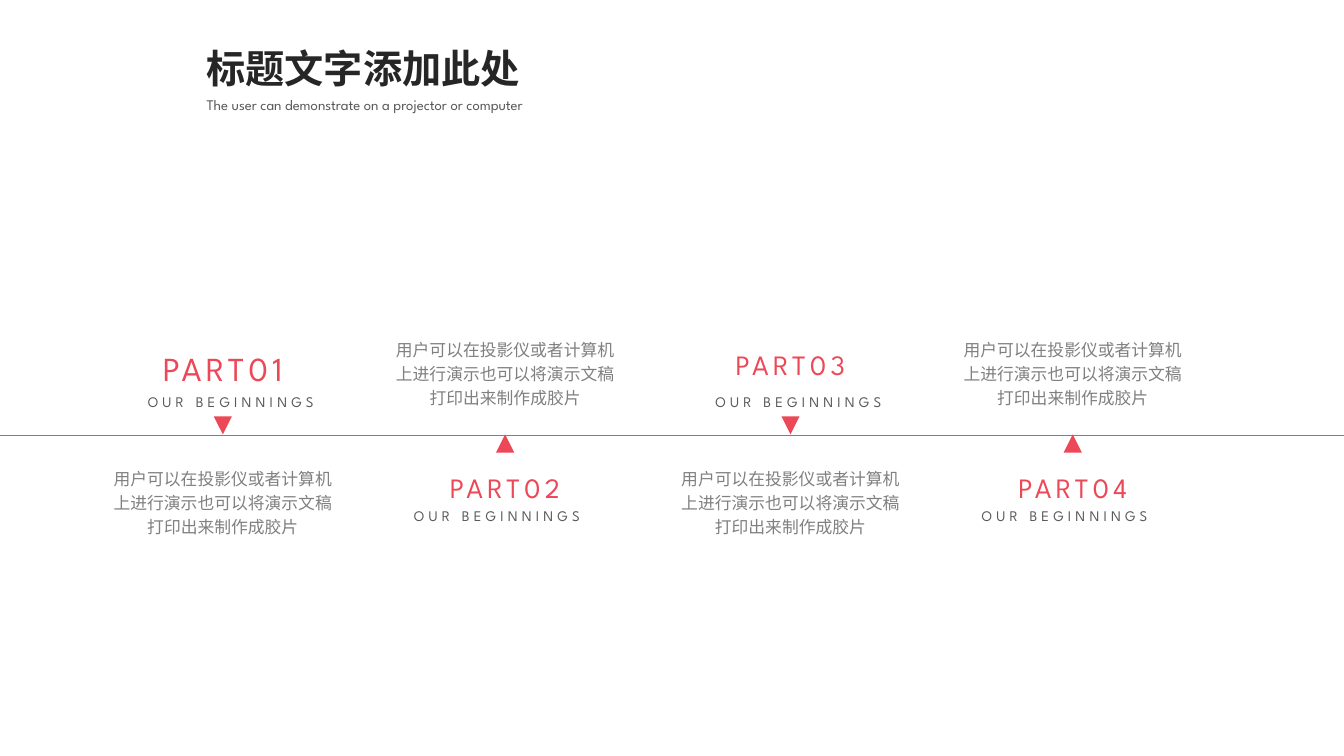
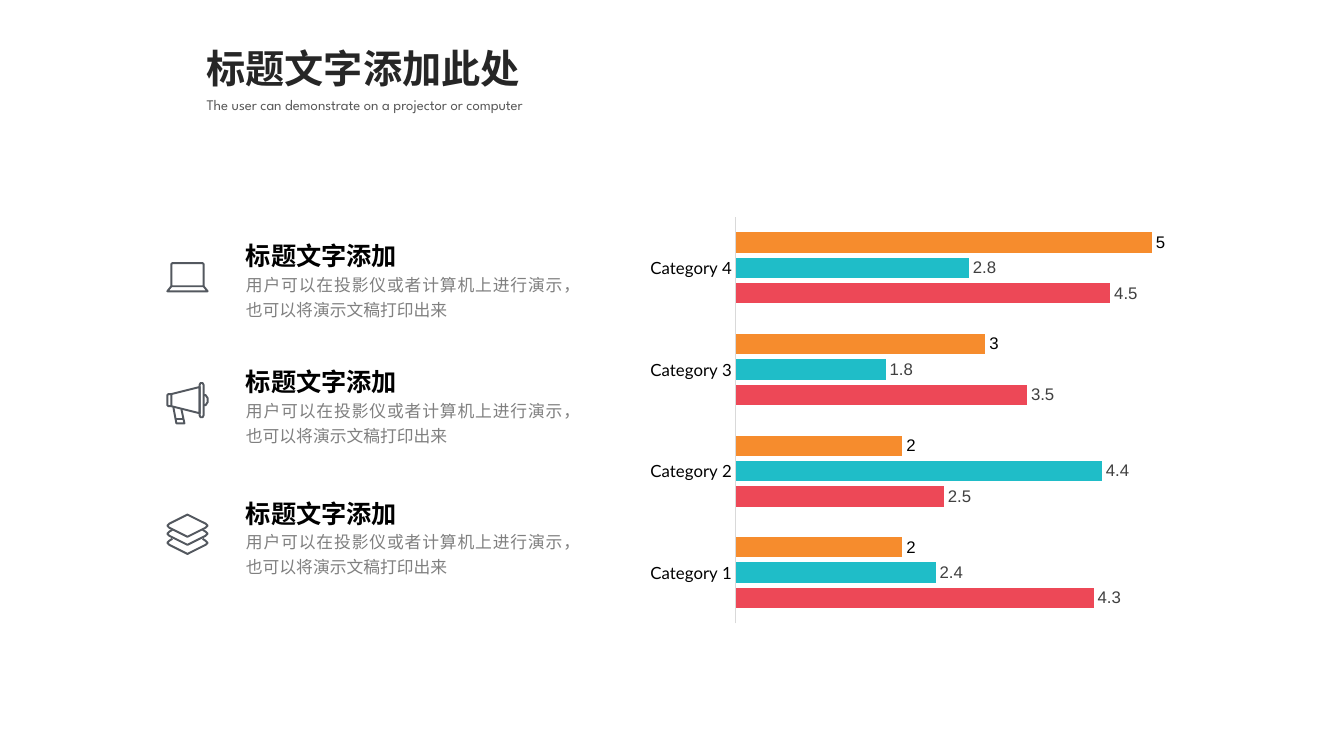
import pptx
import pptx.chart.data
import pptx.dml.color
import pptx.enum.chart
import pptx.enum.shapes
import pptx.enum.text
import pptx.oxml
import pptx.oxml.ns
import pptx.util

Inches = pptx.util.Inches
Pt = pptx.util.Pt
RGBColor = pptx.dml.color.RGBColor
MSO_SHAPE = pptx.enum.shapes.MSO_SHAPE
PP_ALIGN = pptx.enum.text.PP_ALIGN

RED = RGBColor(0xED, 0x48, 0x57)
TEAL = RGBColor(0x1F, 0xBD, 0xC8)
ORANGE = RGBColor(0xF6, 0x8C, 0x2D)
BLACK = RGBColor(0, 0, 0)
INK = RGBColor(0x26, 0x26, 0x26)
CHARCOAL = RGBColor(0x40, 0x40, 0x40)
SLATE = RGBColor(0x53, 0x58, 0x5F)
DARK_GRAY = RGBColor(0x59, 0x59, 0x59)
GRAY = RGBColor(0x80, 0x80, 0x80)
LIGHT_GRAY = RGBColor(0xD9, 0xD9, 0xD9)

SANS = "Arial"
DISPLAY = "League Spartan"
AXIS_FONT = "Lato"
SLIDE_W, SLIDE_H = 13.33, 7.5

TITLE = "标题文字添加此处"
SUBTITLE = "The user can demonstrate on a projector or computer"
PART_CAPTION = "OUR BEGINNINGS"
PART_TEXT = "用户可以在投影仪或者计算机上进行演示也可以将演示文稿打印出来制作成胶片"
ITEM_TITLE = "标题文字添加"
ITEM_TEXT = "用户可以在投影仪或者计算机上进行演示，也可以将演示文稿打印出来"

# Icon strokes in hundredths of an inch: (points, closed)
LAPTOP = [
    ([(5, 24), (5, 2), (6, 1), (36, 1), (37, 2), (37, 24)], True),
    ([(5, 24), (1, 29), (41, 29), (37, 24)], False),
]
MEGAPHONE = [
    ([(1, 13), (2, 12), (5, 12), (5, 24), (2, 24), (1, 23)], True),
    ([(5, 12), (33, 5), (33, 31), (5, 24)], False),
    ([(33, 3), (34, 1), (36, 1), (37, 3), (37, 33), (36, 35), (34, 35), (33, 33)], True),
    ([(37, 13), (39, 13), (41, 16), (41, 20), (39, 23), (37, 23)], False),
    ([(7, 25), (10, 41), (18, 41), (15, 27)], False),
    ([(10, 37), (17, 37)], False),
]
LAYERS = [
    ([(1, 12), (3, 10), (21, 1), (39, 10), (41, 12), (39, 14), (21, 23), (3, 14)], True),
] + [
    ([(6, y - 4), (3, y - 2), (1, y), (3, y + 2), (21, y + 11),
      (39, y + 2), (41, y), (39, y - 2), (36, y - 4)], False)
    for y in (20, 29)
]


def add_text(s, text, x, y, w, h, size, color, font=SANS, bold=False,
             align=PP_ALIGN.LEFT, line_spacing=None, tracking=0, wrap=True):
    """Add a one-run text box; tracking is letter spacing in points."""
    sp = s.shapes.add_textbox(Inches(x), Inches(y), Inches(w), Inches(h))
    tf = sp.text_frame
    tf.word_wrap = wrap
    tf.auto_size = pptx.enum.text.MSO_AUTO_SIZE.SHAPE_TO_FIT_TEXT
    p = tf.paragraphs[0]
    p.alignment = align
    if line_spacing:
        p.line_spacing = line_spacing
    r = p.add_run()
    r.text = text
    r.font.name = font
    r.font.size = Pt(size)
    r.font.bold = bold
    r.font.color.rgb = color
    if tracking:
        r.font._element.set("spc", str(tracking * 100))


def add_titled_slide(prs):
    s = prs.slides.add_slide(prs.slide_layouts[6])
    add_text(s, SUBTITLE, 1.95, 0.9, 4.12, 0.28, 10.5, DARK_GRAY, DISPLAY)
    add_text(s, TITLE, 1.95, 0.39, 3.34, 0.57, 28, INK, bold=True, wrap=False)
    return s


def add_timeline_axis(s, y):
    line = s.shapes.add_connector(pptx.enum.shapes.MSO_CONNECTOR.STRAIGHT,
                                  0, Inches(y), Inches(SLIDE_W), Inches(y))
    line.line.color.rgb = GRAY
    line.line.width = Pt(0.5)
    line._element.spPr.append(pptx.oxml.parse_xml(
        "<a:effectLst %s/>" % pptx.oxml.ns.nsdecls("a")))


def add_marker(s, center, y, points_down):
    side = 0.18
    sp = s.shapes.add_shape(MSO_SHAPE.ISOSCELES_TRIANGLE, Inches(center - side / 2),
                            Inches(y), Inches(side), Inches(side))
    sp.shadow.inherit = False
    sp.fill.solid()
    sp.fill.fore_color.rgb = RED
    sp.line.fill.background()
    sp.rotation = 180 if points_down else 0


def add_part(s, label, center, size, above):
    """Add one timeline part, its heading above or below the axis."""
    if above:
        marker_y, label_y, caption_y, text_y, shift = 4.13, 3.4, 3.85, 4.56, 0.08
    else:
        marker_y, label_y, caption_y, text_y, shift = 4.31, 4.62, 4.98, 3.28, -0.08
    label_w, caption_w, text_w = 1.43, 2.03, 2.42
    heading = dict(font=DISPLAY, align=PP_ALIGN.CENTER, tracking=3, wrap=False)
    add_marker(s, center, marker_y, above)
    add_text(s, label, center - label_w / 2, label_y, label_w, 0.44, size, RED, **heading)
    add_text(s, PART_CAPTION, center + shift - caption_w / 2, caption_y, caption_w, 0.28,
             10.5, DARK_GRAY, **heading)
    add_text(s, PART_TEXT, center - text_w / 2, text_y, text_w, 0.83, 12, GRAY,
             align=PP_ALIGN.CENTER, line_spacing=1.2)


def add_icon(s, strokes, x, middle):
    """Draw all strokes as one outline, centred vertically on middle."""
    height = max(y for points, _ in strokes for _, y in points) + 1
    builder = None
    for points, closed in strokes:
        if builder is None:
            builder = s.shapes.build_freeform(*points[0], scale=Inches(0.01))
        else:
            builder.move_to(*points[0])
        builder.add_line_segments(points[1:], close=closed)
    sp = builder.convert_to_shape(Inches(x), Inches(middle - height / 200))
    sp.shadow.inherit = False
    sp.fill.background()
    sp.line.color.rgb = SLATE
    sp.line.width = Pt(1.4)


def add_item(s, icon, y):
    style = dict(align=PP_ALIGN.JUSTIFY, line_spacing=1.2)
    add_icon(s, icon, 1.65, y + 0.47)
    add_text(s, ITEM_TEXT, 2.34, y + 0.36, 3.35, 0.59, 12, GRAY, **style)
    add_text(s, ITEM_TITLE, 2.34, y, 2.28, 0.47, 18, BLACK, bold=True, **style)


def set_font(font, size, color, name):
    font.size = Pt(size)
    font.color.rgb = color
    font.name = name


def add_bar_chart(s):
    data = pptx.chart.data.CategoryChartData()
    data.categories = ["Category 1", "Category 2", "Category 3", "Category 4"]
    data.add_series("Series 1", (4.3, 2.5, 3.5, 4.5))
    data.add_series("Series 2", (2.4, 4.4, 1.8, 2.8))
    data.add_series("Series 3", (2, 2, 3, 5))
    chart = s.shapes.add_chart(pptx.enum.chart.XL_CHART_TYPE.BAR_CLUSTERED, Inches(6.33),
                               Inches(2.07), Inches(6.04), Inches(4.2), data).chart
    chart.has_legend = False
    chart.has_title = False
    set_font(chart.font, 10, BLACK, SANS)

    axis = chart.category_axis
    axis.major_tick_mark = axis.minor_tick_mark = pptx.enum.chart.XL_TICK_MARK.NONE
    axis.format.line.color.rgb = LIGHT_GRAY
    axis.format.line.width = Pt(0.75)
    set_font(axis.tick_labels.font, 12, BLACK, AXIS_FONT)

    values = chart.value_axis
    values.visible = False
    values.has_major_gridlines = False
    values.minimum_scale, values.maximum_scale = 0, 6

    plot = chart.plots[0]
    plot.gap_width = 150
    plot.overlap = -25
    plot.vary_by_categories = False
    colors = [(RED, CHARCOAL), (TEAL, CHARCOAL), (ORANGE, BLACK)]
    for series, (fill, label_color) in zip(plot.series, colors):
        series.format.fill.solid()
        series.format.fill.fore_color.rgb = fill
        labels = series.data_labels
        labels.show_value = True
        labels.position = pptx.enum.chart.XL_LABEL_POSITION.OUTSIDE_END
        set_font(labels.font, 12, label_color, SANS)


def build_timeline(prs):
    s = add_titled_slide(prs)
    add_timeline_axis(s, 4.32)
    for i, center in enumerate((2.21, 5.01, 7.84, 10.64)):
        add_part(s, f"PART{i + 1:02d}", center, 24 if i == 0 else 20, above=i % 2 == 0)


def build_comparison(prs):
    s = add_titled_slide(prs)
    add_bar_chart(s)
    for icon, y in ((LAPTOP, 2.28), (MEGAPHONE, 3.53), (LAYERS, 4.83)):
        add_item(s, icon, y)


def main():
    prs = pptx.Presentation()
    prs.slide_width = Inches(SLIDE_W)
    prs.slide_height = Inches(SLIDE_H)
    build_timeline(prs)
    build_comparison(prs)
    prs.save("out.pptx")


if __name__ == "__main__":
    main()
